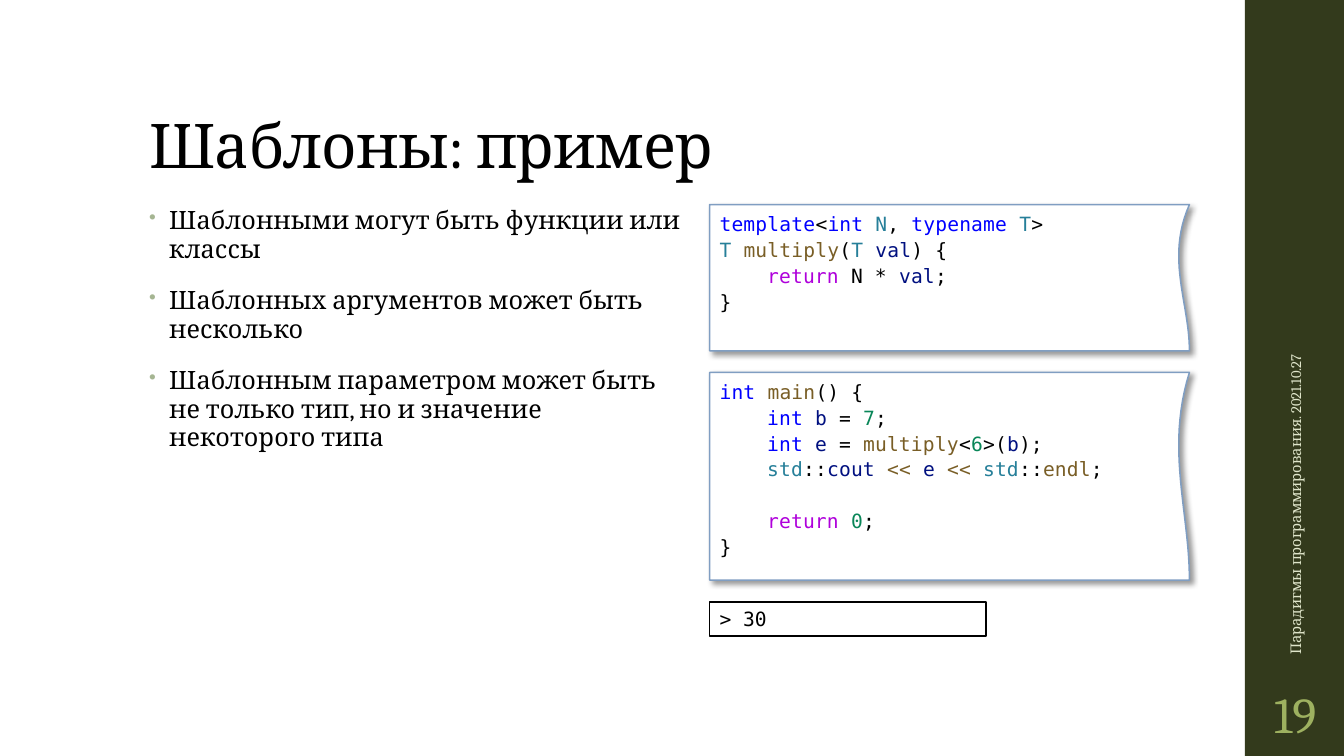
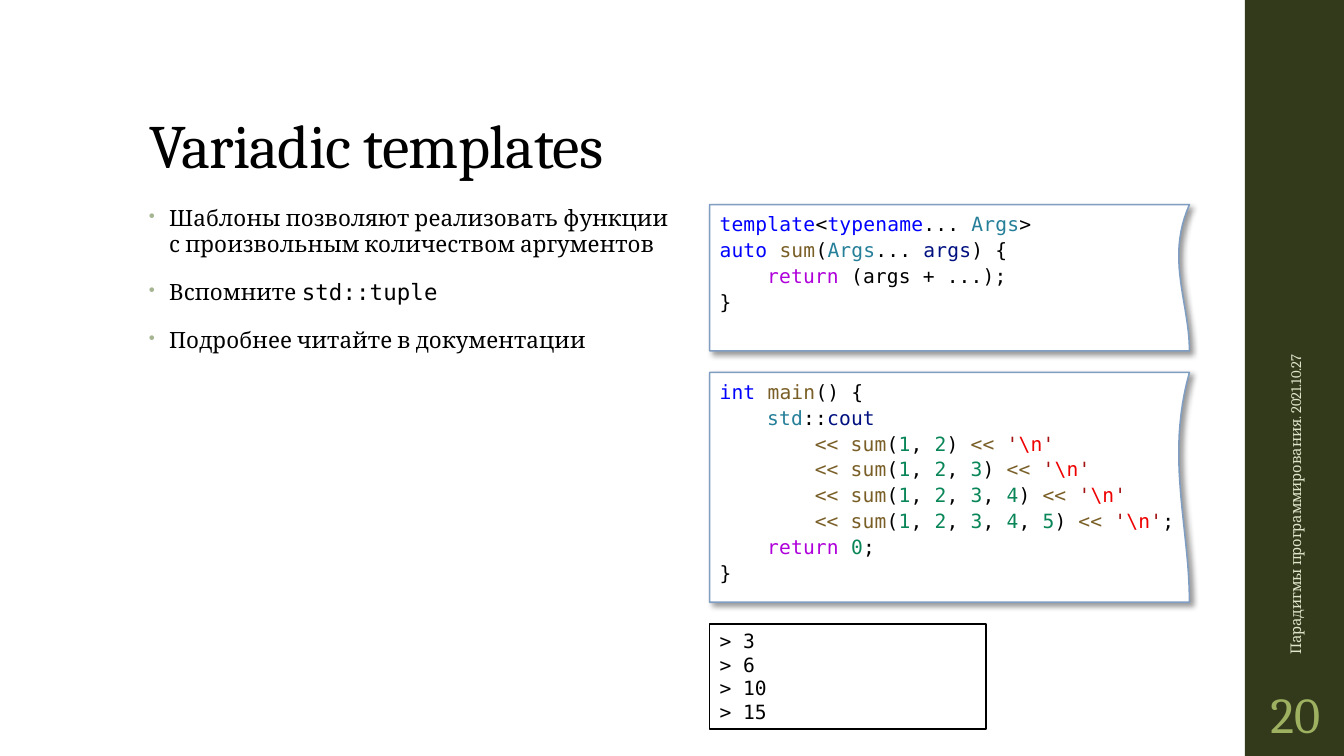
from dataclasses import dataclass

from lxml.etree import SubElement as Sub
from pptx import Presentation
from pptx.dml.color import RGBColor as Rgb
from pptx.enum.shapes import MSO_SHAPE as Kind
from pptx.enum.text import MSO_ANCHOR as Anchor, MSO_AUTO_SIZE as Fit, PP_ALIGN as Align
from pptx.oxml.ns import qn
from pptx.util import Emu, Inches, Pt

CELL = Inches(0.25)
WIDE, HIGH = 53.33, 30
SERIF, MONO = "Cambria", "DejaVu Sans Mono"
BLACK, WHITE = "000000", "FFFFFF"
MOSS, SAGE, LIME, PALE, STEEL = "333A1C", "A5B592", "9EB160", "DFE5CA", "809EC2"
KEY, KIND, FUNC, NAME = "0000FF", "267F99", "795E26", "001080"
FLOW, NUM, QUOTE, ESC = "AF00DB", "098658", "A31515", "EE0000"
BAND, TEXT_X, CODE_X = 49.4, 5.52, 28.16
CODE_Y, CODE_W, GAP = 8.12, 19.04, 0.86
STEPS = 24


@dataclass(frozen=True)
class Box:
    x: float
    y: float
    w: float
    h: float

    def place(self) -> tuple:
        return tuple(cell(v) for v in (self.x, self.y, self.w, self.h))


@dataclass(frozen=True)
class Run:
    text: str
    hue: str = BLACK
    font: str = MONO


@dataclass(frozen=True)
class Line:
    depth: int
    runs: tuple
    gap: float = 0


@dataclass(frozen=True)
class Block:
    high: float
    lines: tuple


@dataclass(frozen=True)
class Page:
    num: int
    title: str
    size: float
    wide: float
    points: tuple
    code: tuple
    out: tuple
    out_h: float


def cell(n: float) -> Emu:
    return Emu(round(n * CELL))


def tint(hue: str) -> Rgb:
    return Rgb.from_string(hue)


def line(depth: int, *parts: tuple, gap: float = 0) -> Line:
    return Line(depth, tuple(Run(text, hue) for text, hue in parts), gap)


def serif(text: str, hue: str = BLACK) -> Run:
    return Run(text, hue, SERIF)


def write(para, runs: tuple, size: float, track: int = 0) -> None:
    for item in runs:
        run = para.add_run()
        run.text = item.text
        run.font.size = Pt(size)
        run.font.name = item.font
        run.font.color.rgb = tint(item.hue)
        if track:
            run.font._element.set("spc", str(track))


def paras(frame, count: int) -> list:
    return [frame.paragraphs[0]] + [frame.add_paragraph() for _ in range(count - 1)]


def setup(frame, anchor: Anchor = Anchor.TOP) -> None:
    frame.word_wrap = True
    frame.auto_size = Fit.NONE
    frame.vertical_anchor = anchor


def paint(shape, fill: str, edge: str = "") -> None:
    shape.shadow.inherit = False
    shape.fill.solid()
    shape.fill.fore_color.rgb = tint(fill)
    if edge:
        shape.line.color.rgb = tint(edge)
        shape.line.width = Pt(1.1)
    else:
        shape.line.fill.background()


def label(slide, box: Box, run: Run, size: float):
    shape = slide.shapes.add_textbox(*box.place())
    setup(shape.text_frame, Anchor.MIDDLE)
    write(shape.text_frame.paragraphs[0], (run,), size)
    return shape


def frame_up(slide, num: int) -> None:
    band = slide.shapes.add_shape(Kind.RECTANGLE, *Box(BAND, 0, WIDE - BAND, HIGH).place())
    paint(band, MOSS)
    foot = label(slide, Box(43.56, 17.72, 15.68, 1.6),
                 serif("Парадигмы программирования. 2021.10.27", PALE), 10.5)
    foot.rotation = 270
    page = label(slide, Box(BAND, 27, 4, 2.6), serif(str(num), LIME), 36).text_frame
    page.margin_left = page.margin_right = Inches(0.05)
    page.paragraphs[0].alignment = Align.CENTER


def head(slide, text: str) -> None:
    title = slide.shapes.title
    title.left, title.top, title.width, title.height = Box(TEXT_X, 1.6, 42.4, 5.8).place()
    setup(title.text_frame, Anchor.BOTTOM)
    para = title.text_frame.paragraphs[0]
    para.alignment = Align.LEFT
    para.line_spacing = 0.9
    write(para, (serif(text),), 44, -50)


def list_out(slide, page: Page) -> None:
    shape = slide.shapes.add_textbox(*Box(TEXT_X, 8, page.wide, 19.04).place())
    setup(shape.text_frame)
    for para, runs in zip(paras(shape.text_frame, len(page.points)), page.points):
        para.line_spacing = 0.95
        para.space_before, para.space_after = Pt(14), Pt(2)
        write(para, runs, page.size, 10)
        props = para._p.get_or_add_pPr()
        props.set("marL", str(Inches(0.2)))
        props.set("indent", str(-Inches(0.2)))
        Sub(Sub(props, qn("a:buClr")), qn("a:srgbClr"), val=SAGE)
        Sub(props, qn("a:buSzPct"), val="80000")
        Sub(props, qn("a:buChar"), char="•")


def curve(t: float) -> tuple:
    s = 1 - t
    return (s ** 3 + 3 * s * s * t * 0.95 + 3 * s * t * t + t ** 3,
            3 * s * s * t * 0.37 + 3 * s * t * t * 0.67 + t ** 3)


def shade(shape) -> None:
    glow = Sub(shape._element.spPr.find(qn("a:effectLst")), qn("a:outerShdw"),
               blurRad=str(Pt(4)), dist=str(Pt(3)), dir="2700000",
               algn="tl", rotWithShape="0")
    Sub(Sub(glow, qn("a:srgbClr"), val=BLACK), qn("a:alpha"), val="40000")


def scroll(slide, box: Box, lines: tuple) -> None:
    spots = [curve(i / STEPS) for i in range(STEPS + 1)] + [(0, 1)]
    pen = slide.shapes.build_freeform(cell(box.x), cell(box.y))
    pen.add_line_segments(
        [(cell(box.x + u * box.w), cell(box.y + v * box.h)) for u, v in spots], close=True)
    shape = pen.convert_to_shape()
    paint(shape, WHITE, STEEL)
    shade(shape)
    setup(shape.text_frame)
    for para, item in zip(paras(shape.text_frame, len(lines)), lines):
        para.alignment = Align.LEFT
        para.line_spacing = 1.1
        if item.gap:
            para.space_before = Pt(item.gap)
        props = para._p.get_or_add_pPr()
        props.set("marL", str(Pt(34 * item.depth)))
        props.set("indent", "0")
        write(para, item.runs, 14, 10)


def shell(slide, box: Box, rows: tuple) -> None:
    shape = slide.shapes.add_shape(Kind.RECTANGLE, *box.place())
    paint(shape, WHITE, BLACK)
    setup(shape.text_frame)
    for para, row in zip(paras(shape.text_frame, len(rows)), rows):
        para.alignment = Align.LEFT
        write(para, (Run(f"> {row}"),), 14)


def draw(deck, page: Page) -> None:
    slide = deck.slides.add_slide(deck.slide_layouts[5])
    frame_up(slide, page.num)
    head(slide, page.title)
    list_out(slide, page)
    top = CODE_Y
    for block in page.code:
        scroll(slide, Box(CODE_X, top, CODE_W, block.high), block.lines)
        top += block.high + GAP
    shell(slide, Box(CODE_X, top, 10.96, page.out_h), page.out)


def sum_line(last: int) -> Line:
    parts = [("<< sum", FUNC), ("(", BLACK)]
    for n in range(1, last + 1):
        parts += [(str(n), NUM), (", " if n < last else ") ", BLACK)]
    parts += [("<< ", FUNC), ("'", QUOTE), ("\\n", ESC), ("'", QUOTE)]
    if last == 5:
        parts.append((";", BLACK))
    return line(2, *parts)


def leave(gap: float = 0) -> Line:
    return line(1, ("return ", FLOW), ("0", NUM), (";", BLACK), gap=gap)


MAIN = line(0, ("int ", KEY), ("main", FUNC), ("() {", BLACK))
END = line(0, ("}", BLACK))

PAGES = (
    Page(
        19, "Шаблоны: пример", 18, 21.96,
        ((serif("Шаблонными могут быть функции или классы"),),
         (serif("Шаблонных аргументов может быть несколько"),),
         (serif("Шаблонным параметром может быть не только тип, но и значение некоторого типа"),)),
        (Block(5.8, (
            line(0, ("template", KEY), ("<", BLACK), ("int ", KEY), ("N", KIND),
                 (", ", BLACK), ("typename ", KEY), ("T", KIND), (">", BLACK)),
            line(0, ("T ", KIND), ("multiply", FUNC), ("(", BLACK), ("T ", KIND),
                 ("val", NAME), (") {", BLACK)),
            line(1, ("return", FLOW), (" N * ", BLACK), ("val", NAME), (";", BLACK)),
            END)),
         Block(8.24, (
             MAIN,
             line(1, ("int ", KEY), ("b", NAME), (" = ", BLACK), ("7", NUM), (";", BLACK)),
             line(1, ("int ", KEY), ("e", NAME), (" = ", BLACK), ("multiply", FUNC),
                  ("<", BLACK), ("6", NUM), (">(", BLACK), ("b", NAME), (");", BLACK)),
             line(1, ("std", KIND), ("::", BLACK), ("cout ", NAME), ("<< ", FUNC),
                  ("e ", NAME), ("<< ", FUNC), ("std", KIND), ("::", BLACK),
                  ("endl", FUNC), (";", BLACK)),
             leave(18.5),
             END))),
        ("30",), 1.36),
    Page(
        20, "Variadic templates", 16, 21.48,
        ((serif("Шаблоны позволяют реализовать функции с произвольным количеством аргументов"),),
         (serif("Вспомните "), Run("std::tuple")),
         (serif("Подробнее читайте в документации"),)),
        (Block(5.8, (
            line(0, ("template", KEY), ("<", BLACK), ("typename", KEY), ("... ", BLACK),
                 ("Args", KIND), (">", BLACK)),
            line(0, ("auto ", KEY), ("sum", FUNC), ("(", BLACK), ("Args", KIND),
                 ("... ", BLACK), ("args", NAME), (") {", BLACK)),
            line(1, ("return", FLOW), (" (args + ...);", BLACK)),
            END)),
         Block(9.12, (
             MAIN,
             line(1, ("std", KIND), ("::", BLACK), ("cout", NAME)),
             *(sum_line(n) for n in range(2, 6)),
             leave(),
             END))),
        ("3", "6", "10", "15"), 4.16),
)


def main() -> None:
    deck = Presentation()
    deck.slide_width, deck.slide_height = cell(WIDE), cell(HIGH)
    for page in PAGES:
        draw(deck, page)
    deck.save("out.pptx")


if __name__ == "__main__":
    main()
